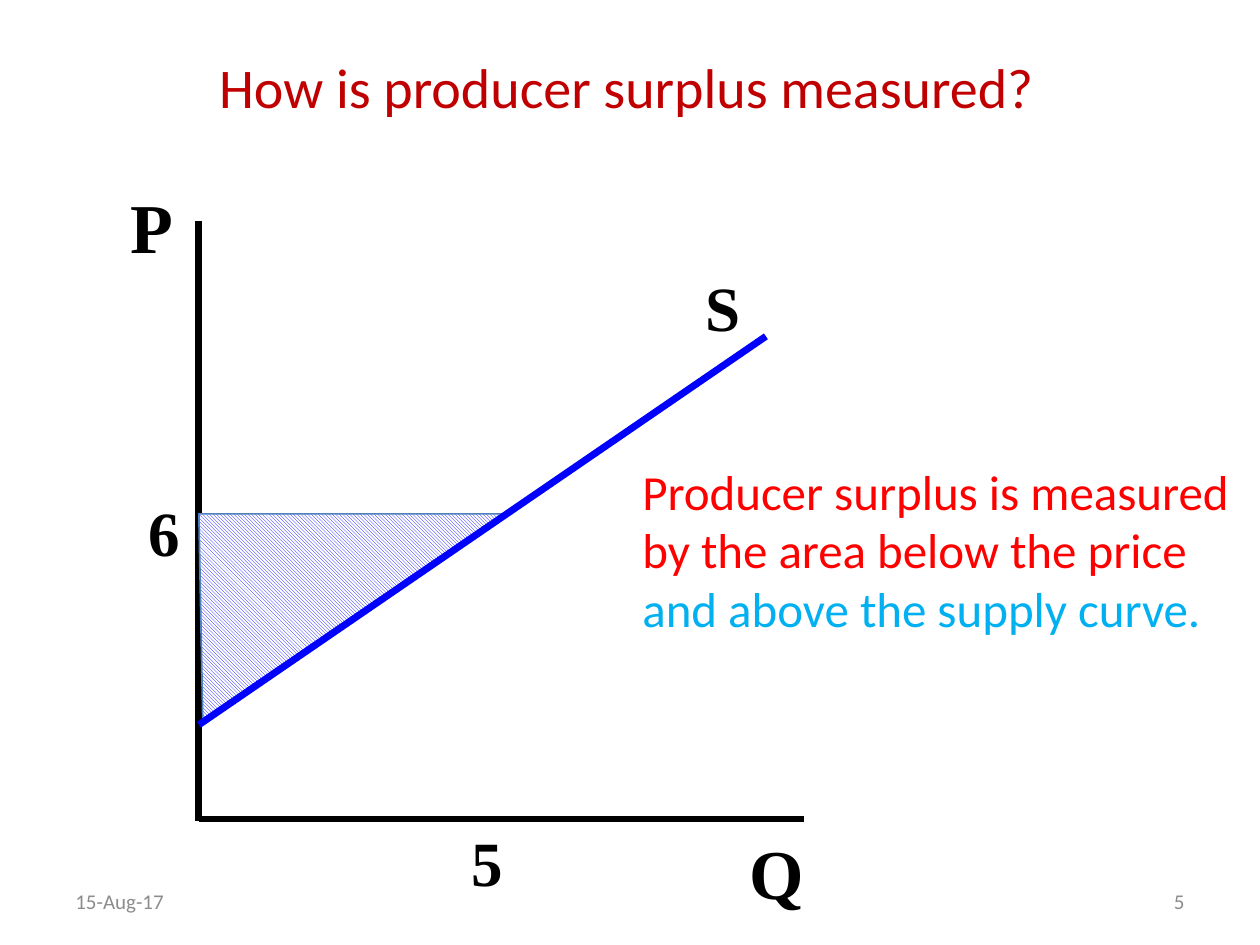
from pptx import Presentation
from pptx.dml.color import RGBColor
from pptx.enum.dml import MSO_PATTERN
from pptx.enum.shapes import MSO_CONNECTOR
from pptx.enum.text import MSO_ANCHOR, PP_ALIGN
from pptx.oxml.ns import qn
from pptx.util import Cm, Pt
from lxml import etree

LEFT, CENTER, RIGHT = PP_ALIGN.LEFT, PP_ALIGN.CENTER, PP_ALIGN.RIGHT
TOP, MIDDLE = MSO_ANCHOR.TOP, MSO_ANCHOR.MIDDLE
STRAIGHT = MSO_CONNECTOR.STRAIGHT
HATCH = MSO_PATTERN.DARK_DOWNWARD_DIAGONAL

BLACK, BLUE, GREY = "000000", "0000FF", "8C8C8C"

# Text blocks: spans of (text, colour), box in cm, size, alignment, anchor
TEXTS = [
    ([("How is producer surplus measured?", "C00000")],
     (2.69, 0.15, 19.89, 3.18), 32, CENTER, MIDDLE),
    ([("Producer surplus is measured by the area below the price ", "FF0000"),
      ("and above the supply curve.", "00B0F0")],
     (12.7, 9.17, 12.7, 5.05), 28, LEFT, TOP),
    ([("15-Aug-17", GREY)], (1.27, 17.65, 5.92, 1.02), 12, LEFT, MIDDLE),
    ([("5", GREY)], (18.21, 17.65, 5.92, 1.02), 12, RIGHT, MIDDLE),
]

# Graph labels: text, box in cm, size
LABELS = [
    ("P", (2.39, 3.58, 1.45, 1.93), 40),
    ("Q", (14.86, 16.59, 1.6, 1.93), 40),
    ("6", (2.74, 9.83, 1.22, 1.78), 36),
    ("5", (9.25, 16.48, 1.22, 1.78), 36),
    ("S", (13.97, 5.28, 1.35, 1.78), 36),
]

# Graph geometry in cm
AXIS_X, AXIS_Y = 4.01, 16.51
PRICE_Y, SUPPLY_START_Y = 10.36, 14.61
AXES = [
    ((AXIS_X, 4.45), (AXIS_X, 16.56)),
    ((AXIS_X, AXIS_Y), (16.21, AXIS_Y)),
]
SUPPLY = ((15.44, 6.78), (AXIS_X, SUPPLY_START_Y))
SURPLUS = [(AXIS_X, PRICE_Y), (10.16, PRICE_Y), (4.09, SUPPLY_START_Y)]


def color(value):
    return RGBColor.from_string(value)


def lengths(values):
    return [Cm(value) for value in values]


def add_text(page, spans, place, size, align=LEFT, anchor=TOP,
             font="Calibri", bold=False, wrap=True):
    box = page.shapes.add_textbox(*lengths(place))
    frame = box.text_frame
    frame.word_wrap = wrap
    frame.vertical_anchor = anchor
    para = frame.paragraphs[0]
    para.alignment = align
    para.font.name = font
    para.font.size = Pt(size)
    para.font.bold = bold
    for text, tint in spans:
        span = para.add_run()
        span.text = text
        span.font.color.rgb = color(tint)


def add_line(page, start, end, tint):
    line = page.shapes.add_connector(STRAIGHT, *lengths(start + end))
    line.line.color.rgb = color(tint)
    line.line.width = Pt(4)
    etree.SubElement(line._element.spPr, qn("a:effectLst"))


def add_surplus(page):
    points = [lengths(point) for point in SURPLUS]
    builder = page.shapes.build_freeform(*points[0])
    builder.add_line_segments(points[1:], close=True)
    area = builder.convert_to_shape()
    area.shadow.inherit = False
    area.fill.patterned()
    area.fill.pattern = HATCH
    area.fill.fore_color.rgb = color(BLUE)
    area.fill.back_color.rgb = color("FFFFFF")
    area.line.color.rgb = color("4F81BD")
    area.line.width = Pt(1)


def main():
    deck = Presentation()
    deck.slide_width, deck.slide_height = Cm(25.4), Cm(19.05)
    page = deck.slides.add_slide(deck.slide_layouts[6])

    # Graph: axes, surplus area, then the supply curve on top
    for start, end in AXES:
        add_line(page, start, end, BLACK)
    add_surplus(page)
    add_line(page, *SUPPLY, BLUE)
    for text, place, size in LABELS:
        add_text(page, [(text, BLACK)], place, size,
                 font="Times New Roman", bold=True, wrap=False)

    # Title, explanation and footer
    for block in TEXTS:
        add_text(page, *block)

    deck.save("out.pptx")


if __name__ == "__main__":
    main()
